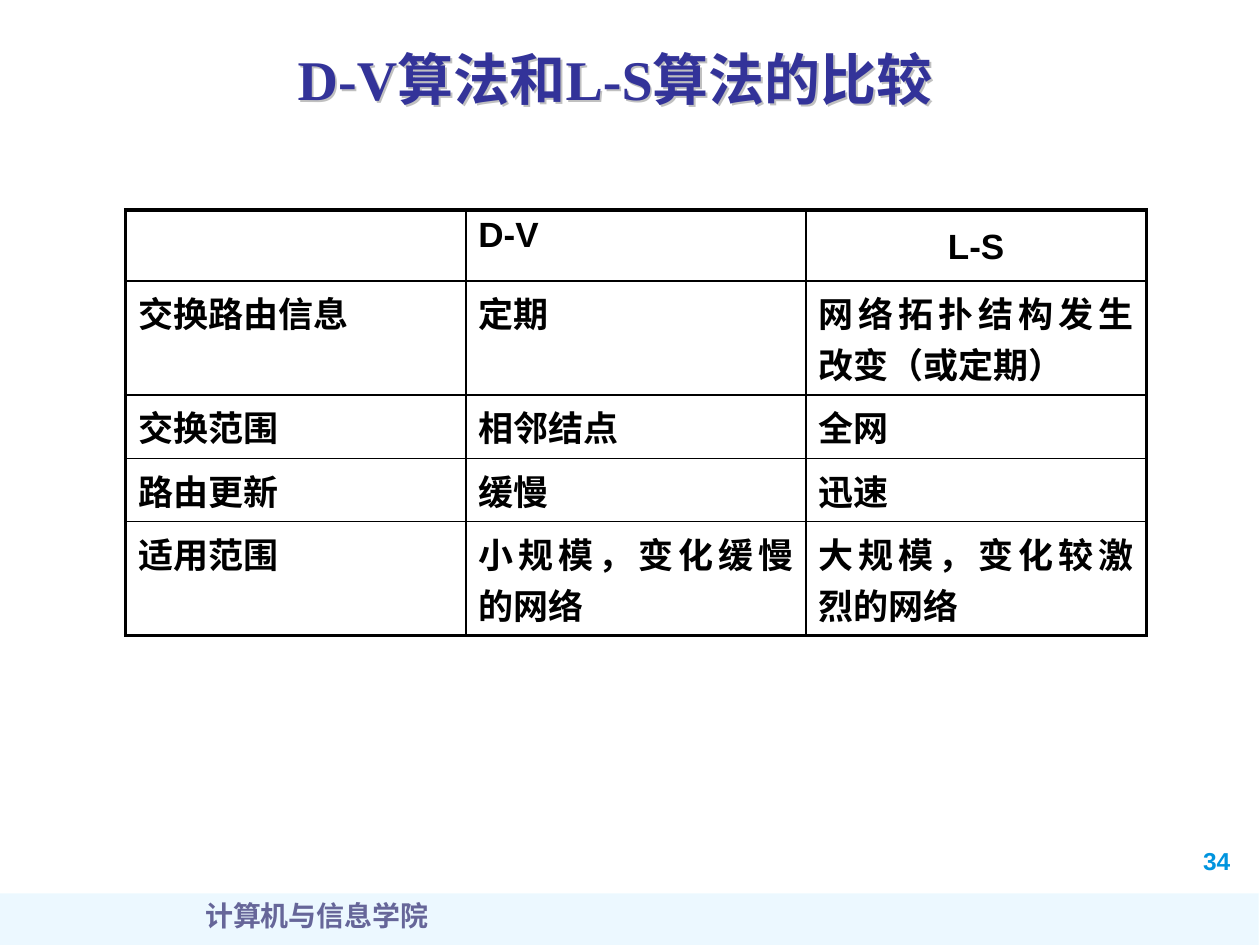
import lxml.etree
import pptx
import pptx.dml.color
import pptx.enum.shapes
import pptx.enum.text
import pptx.oxml.ns
import pptx.util

Pt = pptx.util.Pt
ALIGN = pptx.enum.text.PP_ALIGN
ANCHOR = pptx.enum.text.MSO_ANCHOR
qn = pptx.oxml.ns.qn

TITLE = {"name": "Times New Roman", "size": Pt(32), "bold": True}
FOOTER = {"name": "Times New Roman", "size": Pt(16), "bold": True}
NUMBER = {"name": "Arial", "size": Pt(14), "bold": True}
CELL = {"name": "Arial", "size": Pt(20), "bold": True}

ROWS = [
    ["", "D-V", "L-S"],
    ["交换路由信息", "定期", "网络拓扑结构发生改变（或定期）"],
    ["交换范围", "相邻结点", "全网"],
    ["路由更新", "缓慢", "迅速"],
    ["适用范围", "小规模，变化缓慢的网络", "大规模，变化较激烈的网络"],
]
ROW_HEIGHTS = [40.6, 65.2, 36.2, 36.2, 65.2]
THICK, THIN = 2.25, 1


def color(value):
    return pptx.dml.color.RGBColor.from_string(value)


def lengths(box):
    return [Pt(value) for value in box]


def write(frame, text, formats, shade, align):
    """Put one formatted paragraph in a text frame."""
    para = frame.paragraphs[0]
    para.alignment = align
    span = para.add_run()
    span.text = text
    for name, value in formats.items():
        setattr(span.font, name, value)
    span.font.color.rgb = color(shade)


def add_label(page, box, text, formats, shade, align):
    frame = page.shapes.add_textbox(*lengths(box)).text_frame
    frame.word_wrap = True
    write(frame, text, formats, shade, align)


def add_band(page, box):
    band = page.shapes.add_shape(
        pptx.enum.shapes.MSO_SHAPE.RECTANGLE, *lengths(box))
    band.shadow.inherit = False
    band.line.fill.background()
    band.fill.solid()
    band.fill.fore_color.rgb = color("A7E2FF")
    tint = band._element.spPr.find(".//" + qn("a:srgbClr"))
    lxml.etree.SubElement(tint, qn("a:alpha"), val="21000")


def add_text_shadow(shape):
    """Give an unfilled shape a shadow, which falls from its text."""
    shape.fill.background()
    shape.shadow.inherit = False
    effects = shape._element.spPr.find(qn("a:effectLst"))
    shadow = lxml.etree.SubElement(
        effects, qn("a:outerShdw"), dist="18000", dir="2700000", algn="ctr")
    lxml.etree.SubElement(shadow, qn("a:srgbClr"), val="C0C0C0")


def place_title(page, box, text):
    title = page.shapes.title
    title.left, title.top, title.width, title.height = lengths(box)
    frame = title.text_frame
    frame.auto_size = pptx.enum.text.MSO_AUTO_SIZE.NONE
    frame.vertical_anchor = ANCHOR.MIDDLE
    write(frame, text, TITLE, "333399", ALIGN.CENTER)
    add_text_shadow(title)


def set_borders(cell, widths):
    """Draw black borders; widths are left, right, top and bottom."""
    properties = cell._tc.get_or_add_tcPr()
    for index, (side, width) in enumerate(zip("LRTB", widths)):
        line = lxml.etree.Element(qn("a:ln" + side), w=str(Pt(width)))
        fill = lxml.etree.SubElement(line, qn("a:solidFill"))
        lxml.etree.SubElement(fill, qn("a:srgbClr"), val="000000")
        properties.insert(index, line)


def add_comparison(page, box):
    last_row, last_column = len(ROWS) - 1, len(ROWS[0]) - 1
    table = page.shapes.add_table(
        len(ROWS), len(ROWS[0]), *lengths(box)).table
    table.first_row = table.horz_banding = False
    for row, height in zip(table.rows, ROW_HEIGHTS):
        row.height = Pt(height)
    for r, texts in enumerate(ROWS):
        for c, text in enumerate(texts):
            cell = table.cell(r, c)
            cell.fill.background()
            outer = (c == 0, c == last_column, r == 0, r == last_row)
            set_borders(cell, [THICK if edge else THIN for edge in outer])
            if text:
                write(cell.text_frame, text, CELL, "000000", ALIGN.JUSTIFY)
    heading = table.cell(0, last_column).text_frame.paragraphs[0]
    heading.alignment = ALIGN.CENTER
    heading.line_spacing = 1.3


def main():
    deck = pptx.Presentation()
    deck.slide_width, deck.slide_height = Pt(720), Pt(540)
    page = deck.slides.add_slide(deck.slide_layouts[5])
    add_band(page, (-0.7, 510.5, 720, 31.7))
    add_label(page, (680.4, 480, 42.5, 23.8), "34",
              NUMBER, "0094DE", ALIGN.LEFT)
    add_label(page, (19.4, 510, 323.3, 36), "计算机与信息学院",
              FOOTER, "666699", ALIGN.CENTER)
    place_title(page, (76.3, 17.8, 558, 54), "D-V算法和L-S算法的比较 ")
    add_comparison(page, (71.8, 119.9, 583.2, sum(ROW_HEIGHTS)))
    deck.save("out.pptx")


if __name__ == "__main__":
    main()
